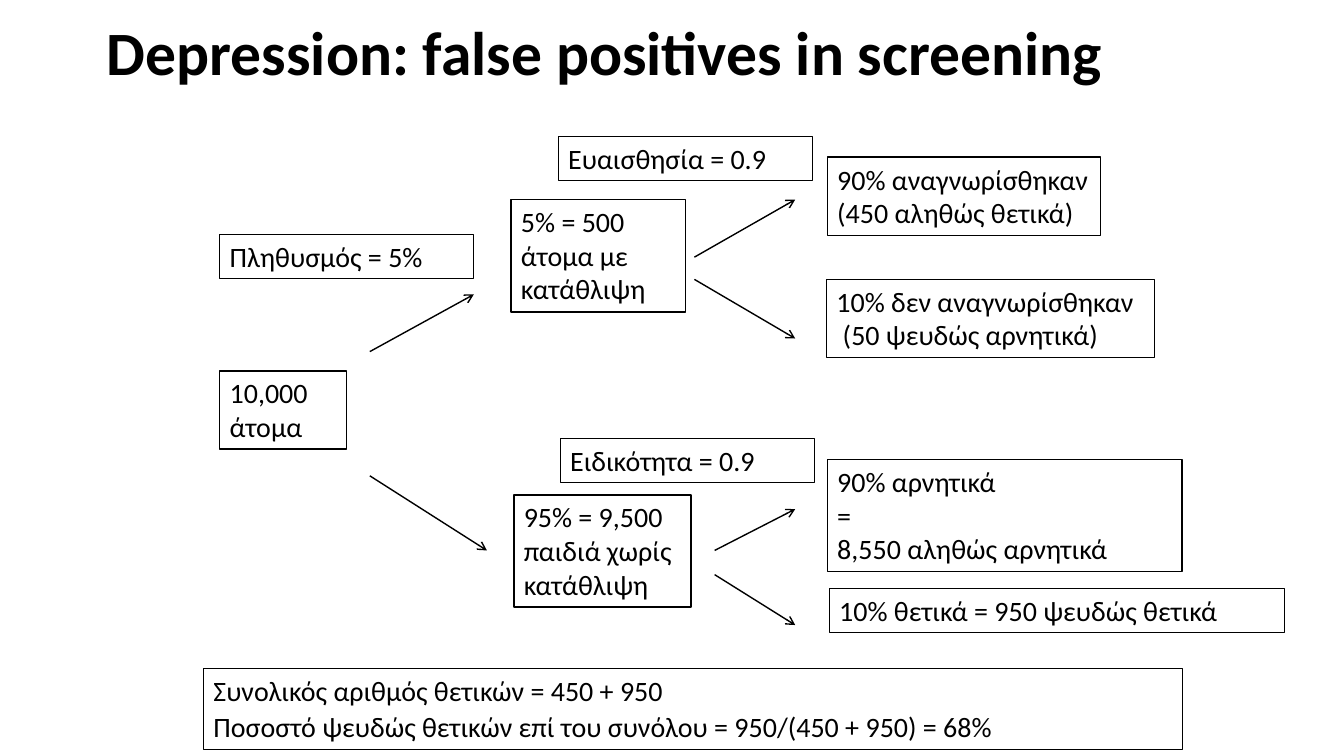
from dataclasses import dataclass

from lxml import etree
from pptx import Presentation
from pptx.dml.color import RGBColor
from pptx.enum.shapes import MSO_CONNECTOR, MSO_SHAPE
from pptx.enum.text import MSO_ANCHOR, MSO_AUTO_SIZE, PP_ALIGN
from pptx.oxml.ns import qn
from pptx.util import Cm, Pt

RECT = MSO_SHAPE.RECTANGLE
STRAIGHT = MSO_CONNECTOR.STRAIGHT
TOP = MSO_ANCHOR.TOP
LEFT = PP_ALIGN.LEFT
GROW = MSO_AUTO_SIZE.SHAPE_TO_FIT_TEXT
FIXED = MSO_AUTO_SIZE.NONE

TITLE = "Depression: false positives in screening"

# left, top, width, rows, paragraphs
NODES = [
    (5.54, 9.35, 3.2, 2, ["10,000", "άτομα"]),
    (12.88, 5.03, 4.39, 3, ["5% = 500 άτομα με κατάθλιψη"]),
    (12.95, 12.47, 4.47, 3, ["95% = 9,500 παιδιά χωρίς κατάθλιψη"]),
    (20.85, 3.96, 6.88, 2, ["90% αναγνωρίσθηκαν", "(450 αληθώς θετικά)"]),
    (20.83, 7.04, 8.26, 2, ["10% δεν αναγνωρίσθηκαν", " (50 ψευδώς αρνητικά)"]),
    (20.85, 11.58, 8.94, 3, ["90% αρνητικά", "=", "8,550 αληθώς αρνητικά"]),
    (20.9, 14.83, 11.48, 1, ["10% θετικά = 950 ψευδώς θετικά"]),
]
LABELS = [
    (5.54, 5.92, 6.4, 1, ["Πληθυσμός = 5%"]),
    (14.07, 3.43, 6.4, 1, ["Ευαισθησία = 0.9"]),
    (14.12, 11.05, 6.4, 1, ["Ειδικότητα = 0.9"]),
]
TOTAL = (5.13, 16.84, 24.66, 2, [
    "Συνολικός αριθμός θετικών = 450 + 950",
    "Ποσοστό ψευδώς θετικών επί του συνόλου = 950/(450 + 950) = 68%",
])
ARROWS = [
    (9.32, 8.86, 11.94, 7.42),
    (9.32, 11.99, 12.27, 13.87),
    (17.5, 6.48, 20.04, 5.03),
    (17.5, 7.04, 20.04, 8.53),
    (18.01, 13.87, 20.04, 12.83),
    (18.01, 14.48, 20.04, 15.75),
]


@dataclass(frozen=True)
class Theme:
    ink: RGBColor = RGBColor(0, 0, 0)
    paper: RGBColor = RGBColor(255, 255, 255)
    font: str = "Calibri"
    head: Pt = Pt(44)
    body: Pt = Pt(20)
    thick: Pt = Pt(1)
    thin: Pt = Pt(0.75)
    row: float = 0.86
    pad: float = 0.25


THEME = Theme()


def write(shape, lines, size, bold=False, gap=0, fit=GROW):
    frame = shape.text_frame
    frame.text = "\n".join(lines)
    frame.word_wrap = True
    frame.auto_size = fit
    frame.vertical_anchor = TOP
    for index, para in enumerate(frame.paragraphs):
        para.alignment = LEFT
        para.line_spacing = 1.0
        para.space_before = Pt(gap if index else 0)
        para.font.name = THEME.font
        para.font.size = size
        para.font.bold = bold
        para.font.color.rgb = THEME.ink


def add_box(slide, box, width, filled=False, gap=0):
    left, top, wide, rows, lines = box
    high = THEME.pad + rows * THEME.row + Pt(gap).cm
    shape = slide.shapes.add_shape(RECT, Cm(left), Cm(top), Cm(wide), Cm(high))
    shape.shadow.inherit = False
    if filled:
        shape.fill.solid()
        shape.fill.fore_color.rgb = THEME.paper
    else:
        shape.fill.background()
    shape.line.color.rgb = THEME.ink
    shape.line.width = width
    write(shape, lines, THEME.body, gap=gap)


def add_arrow(slide, ends):
    arrow = slide.shapes.add_connector(STRAIGHT, *map(Cm, ends))
    arrow.line.color.rgb = THEME.ink
    arrow.line.width = THEME.thick
    props = arrow.element.spPr
    etree.SubElement(props.find(qn("a:ln")), qn("a:tailEnd"), type="arrow")
    etree.SubElement(props, qn("a:effectLst"))


def main():
    deck = Presentation()
    deck.slide_width, deck.slide_height = Cm(33.87), Cm(19.05)
    slide = deck.slides.add_slide(deck.slide_layouts[5])
    title = slide.shapes.title
    title.left, title.top = Cm(2.44), Cm(0.23)
    title.width, title.height = Cm(31), Cm(2.2)
    write(title, [TITLE], THEME.head, bold=True, fit=FIXED)
    for node in NODES:
        add_box(slide, node, THEME.thick, filled=True)
    for label in LABELS:
        add_box(slide, label, THEME.thin)
    add_box(slide, TOTAL, THEME.thin, gap=2)
    for ends in ARROWS:
        add_arrow(slide, ends)
    deck.save("out.pptx")


if __name__ == "__main__":
    main()
